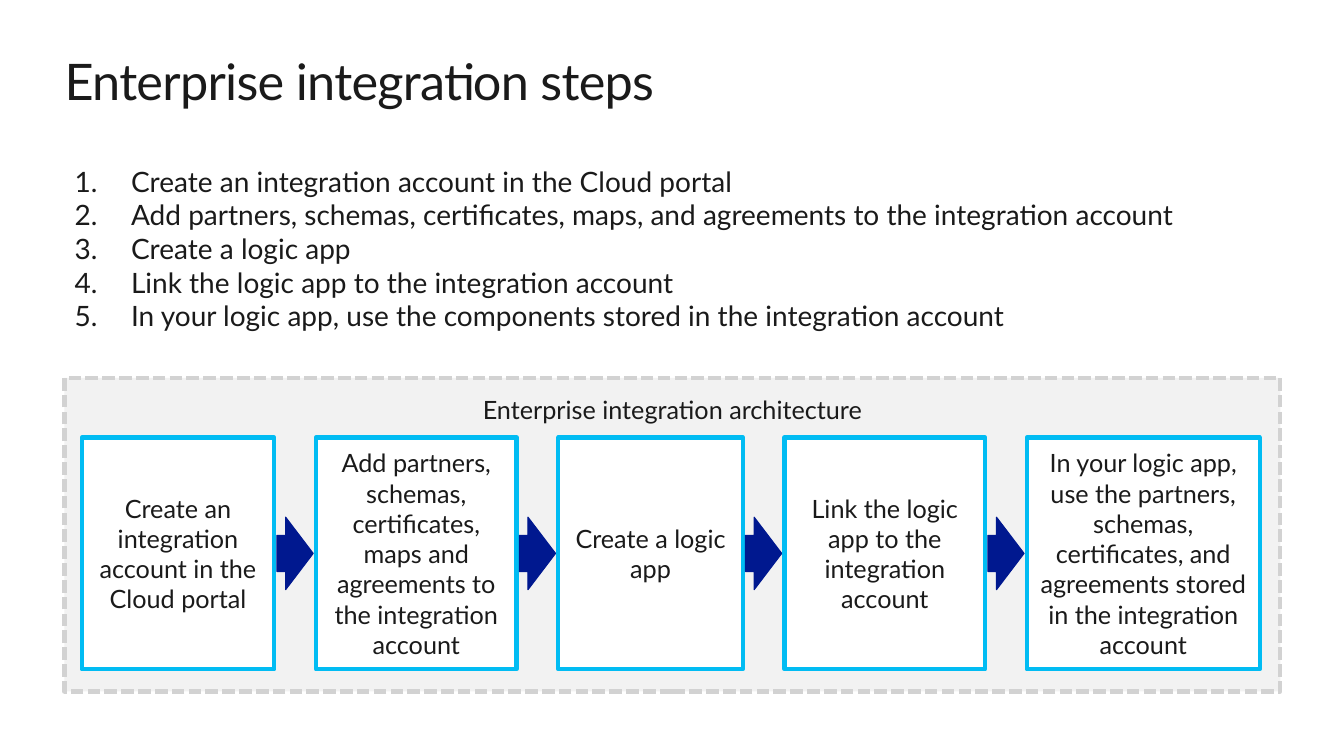
from dataclasses import dataclass

from lxml.etree import SubElement
from pptx import Presentation
from pptx.dml.color import RGBColor
from pptx.enum.dml import MSO_LINE
from pptx.enum.shapes import MSO_SHAPE as SHAPE
from pptx.enum.text import MSO_ANCHOR as ANCHOR, MSO_AUTO_SIZE as AUTOSIZE, PP_ALIGN as ALIGN
from pptx.oxml.ns import qn
from pptx.util import Inches, Pt


@dataclass(frozen=True)
class Theme:
    """Colours, font and type sizes of the slide."""
    font: str = "Lato"
    ink: str = "1A1A1A"
    paper: str = "FFFFFF"
    panel: str = "F2F2F2"
    dash: str = "D2D2D2"
    outline: str = "01BCF3"
    arrow: str = "00188F"
    title: int = 36
    body: int = 20
    label: int = 18


theme = Theme()
deck = Presentation()
deck.slide_width, deck.slide_height = Inches(13.33), Inches(7.5)
column, row = deck.slide_width / 100, deck.slide_height / 100  # one percent of each side
page = deck.slides.add_slide(deck.slide_layouts[1])


def write(box, *lines, size=theme.label, align=ALIGN.CENTER, anchor=ANCHOR.MIDDLE,
          inset=(0.08, 0.08), numbered=False, spacing=None):
    """Fill a shape with one paragraph per line, in the given format."""
    frame = box.text_frame
    frame.word_wrap, frame.auto_size, frame.vertical_anchor = True, AUTOSIZE.NONE, anchor
    frame.margin_left = frame.margin_right = Inches(inset[0])
    frame.margin_top = frame.margin_bottom = Inches(inset[1])
    for index, line in enumerate(lines):
        para = frame.add_paragraph() if index else frame.paragraphs[0]
        para.alignment, para.line_spacing = align, 1.0
        para.space_before = para.space_after = Pt(0)
        span = para.add_run()
        span.text = line
        span.font.name, span.font.size = theme.font, Pt(size)
        span.font.color.rgb = RGBColor.from_string(theme.ink)
        if spacing:
            span.font._element.set("spc", str(round(spacing * 100)))
        if numbered:
            settings = para._p.get_or_add_pPr()
            settings.set("marL", str(Inches(0.56)))
            settings.set("indent", str(-Inches(0.56)))
            SubElement(settings, qn("a:buFont"), typeface="+mj-lt")
            SubElement(settings, qn("a:buAutoNum"), type="arabicPeriod")


def draw(kind, left, top, width, height, fill, line, weight=3):
    """Add a flat preset shape, placed in percent of the slide."""
    box = page.shapes.add_shape(kind, round(left * column), round(top * row),
                                round(width * column), round(height * row))
    box.shadow.inherit = False
    box.fill.solid()
    box.fill.fore_color.rgb = RGBColor.from_string(fill)
    box.line.color.rgb = RGBColor.from_string(line)
    box.line.width = Pt(weight)
    return box


# Title and numbered list
margin = 4.8
title, steps_list = page.shapes.title, page.placeholders[1]
for holder, top, width, height in ((title, 6.67, 90.4, 8.13), (steps_list, 21.07, 93.4, 23.73)):
    holder.left, holder.top = round(margin * column), round(top * row)
    holder.width, holder.height = round(width * column), round(height * row)

write(title, "Enterprise integration steps", size=theme.title, align=ALIGN.LEFT,
      anchor=ANCHOR.TOP, inset=(0, 0), spacing=-0.5)
write(steps_list,
      "Create an integration account in the Cloud portal",
      "Add partners, schemas, certificates, maps, and agreements to the integration account",
      "Create a logic app",
      "Link the logic app to the integration account",
      "In your logic app, use the components stored in the integration account",
      size=theme.body, align=ALIGN.LEFT, anchor=ANCHOR.TOP, inset=(0.1, 0.05), numbered=True)

# Architecture panel
panel = draw(SHAPE.RECTANGLE, margin, 50, 90.47, 41.47, theme.panel, theme.dash)
panel.line.dash_style = MSO_LINE.SQUARE_DOT
panel.line._get_or_add_ln().find(qn("a:prstDash")).set("val", "sysDash")
write(panel, "Enterprise integration architecture", anchor=ANCHOR.TOP, inset=(0.2, 0.16))

# Steps from left to right, with an arrow in every gap
steps = (
    ("Create an integration account in the Cloud portal", 14.33),
    ("Add partners, schemas, certificates, maps and agreements to the integration account", 14.93),
    ("Create a logic app", 13.73),
    ("Link the logic app to the integration account", 14.93),
    ("In your logic app, use the partners, schemas, certificates, and agreements stored "
     "in the integration account", 17.33),
)
step_top, step_height, gap = 57.87, 30.67, 3.1
arrow_width, arrow_height = 2.7, 9.6
arrow_top = step_top + (step_height - arrow_height) / 2
left = 6.08
for number, (label, width) in enumerate(steps, start=1):
    step = draw(SHAPE.RECTANGLE, left, step_top, width, step_height, theme.paper, theme.outline)
    write(step, label)
    left += width
    if number < len(steps):
        arrow = draw(SHAPE.RIGHT_ARROW, left + (gap - arrow_width) / 2, arrow_top,
                     arrow_width, arrow_height, theme.arrow, theme.arrow, weight=0.75)
        arrow.adjustments[1] = 0.76
    left += gap

deck.save("out.pptx")
